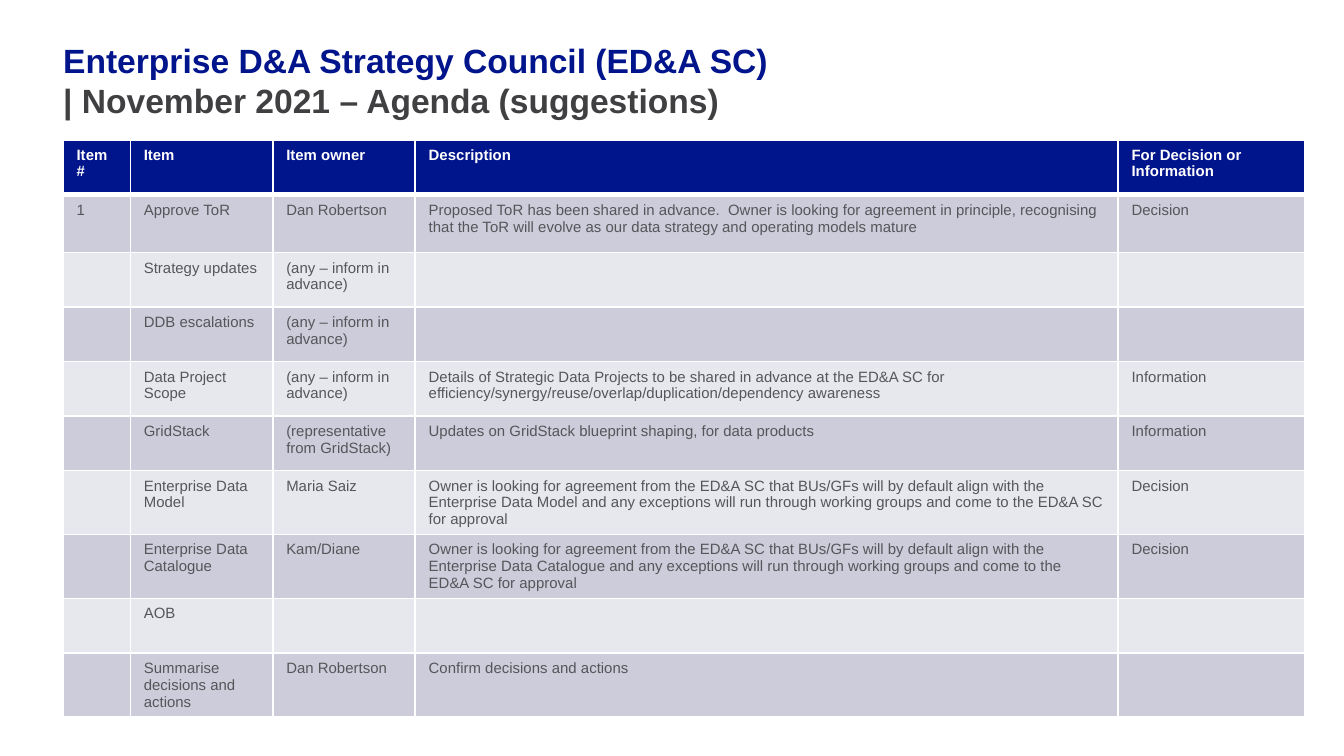
from dataclasses import dataclass

from lxml import etree
from pptx import Presentation
from pptx import util as u
from pptx.dml.color import RGBColor
from pptx.enum import text
from pptx.oxml import ns


@dataclass(frozen=True)
class Theme:
    """Colours, typeface and type sizes of the slide."""
    navy: str = "00148C"
    charcoal: str = "404042"
    grey: str = "55555A"
    white: str = "FFFFFF"
    bands: tuple = ("CCCCDA", "E7E7EE")
    font: str = "Arial"
    title_size: float = 18
    title_leading: float = 21.5
    table_size: float = 8
    rule: float = 1
    heavy_rule: float = 3


THEME = Theme()
SLIDE_WIDTH = 10
SLIDE_HEIGHT = SLIDE_WIDTH * 9 / 16
TITLE_LINES = (
    ("Enterprise D&A Strategy Council (ED&A SC)", THEME.navy),
    ("| November 2021 – Agenda (suggestions)", THEME.charcoal),
)
COLUMN_WIDTHS = (0.5, 1.06, 1.06, 5.23, 1.39)
HEADER_HEIGHT, FIRST_HEIGHT, ROW_HEIGHT = 0.41, 0.43, 0.81 / 2
ANY_OWNER = "(any – inform in advance)"
ALIGNMENT = (
    "Owner is looking for agreement from the ED&A SC that BUs/GFs will by default "
    "align with the Enterprise Data {} and any exceptions will run through working "
    "groups and come to the ED&A SC for approval"
)
AGENDA = (
    ("Item #", "Item", "Item owner", "Description", "For Decision or Information"),
    ("1", "Approve ToR", "Dan Robertson",
     "Proposed ToR has been shared in advance.  Owner is looking for agreement in "
     "principle, recognising that the ToR will evolve as our data strategy and "
     "operating models mature", "Decision"),
    ("", "Strategy updates", ANY_OWNER, "", ""),
    ("", "DDB escalations", ANY_OWNER, "", ""),
    ("", "Data Project Scope", ANY_OWNER,
     "Details of Strategic Data Projects to be shared in advance at the ED&A SC for "
     "efficiency/synergy/reuse/overlap/duplication/dependency awareness",
     "Information"),
    ("", "GridStack", "(representative from GridStack)",
     "Updates on GridStack blueprint shaping, for data products", "Information"),
    ("", "Enterprise Data Model", "Maria Saiz", ALIGNMENT.format("Model"), "Decision"),
    ("", "Enterprise Data Catalogue", "Kam/Diane", ALIGNMENT.format("Catalogue"),
     "Decision"),
    ("", "AOB", "", "", ""),
    ("", "Summarise decisions and actions", "Dan Robertson",
     "Confirm decisions and actions", ""),
)


def apply_format(target, values):
    """Set every attribute named in a dict of format values."""
    for name, value in values.items():
        setattr(target, name, value)


def add_run(paragraph, words, size, color, bold):
    """Add one formatted run to a paragraph."""
    run = paragraph.add_run()
    run.text = words
    apply_format(run.font, {"name": THEME.font, "size": u.Pt(size), "bold": bold})
    run.font.color.rgb = RGBColor.from_string(color)


def set_borders(cell, widths):
    """Draw white cell borders from a dict of side and width in points."""
    properties = cell._tc.get_or_add_tcPr()
    for index, (side, width) in enumerate(widths.items()):
        line = etree.Element(ns.qn(f"a:ln{side}"), w=str(u.Pt(width)))
        fill = etree.SubElement(line, ns.qn("a:solidFill"))
        etree.SubElement(fill, ns.qn("a:srgbClr"), val=THEME.white)
        properties.insert(index, line)


def format_title(slide, left, top, width, height):
    """Place the title and write its two coloured lines."""
    title = slide.shapes.title
    box = {"left": left, "top": top, "width": width, "height": height}
    apply_format(title, {name: u.Inches(value) for name, value in box.items()})
    frame = title.text_frame
    apply_format(frame, {
        "margin_left": 0, "margin_top": 0, "margin_right": 0, "margin_bottom": 0,
        "word_wrap": True, "auto_size": text.MSO_AUTO_SIZE.NONE,
        "vertical_anchor": text.MSO_ANCHOR.TOP,
    })
    paragraph = frame.paragraphs[0]
    apply_format(paragraph, {
        "alignment": text.PP_ALIGN.LEFT, "space_before": u.Pt(0),
        "line_spacing": u.Pt(THEME.title_leading),
    })
    for index, (words, color) in enumerate(TITLE_LINES):
        if index:
            paragraph.add_line_break()
        add_run(paragraph, words, THEME.title_size, color, True)


def format_cell(cell, words, row):
    """Fill, border and write one agenda cell."""
    header = row == 0
    cell.fill.solid()
    fill = THEME.navy if header else THEME.bands[(row - 1) % 2]
    cell.fill.fore_color.rgb = RGBColor.from_string(fill)
    set_borders(cell, {
        "L": THEME.rule, "R": THEME.rule,
        "T": THEME.heavy_rule if row == 1 else THEME.rule,
        "B": THEME.heavy_rule if header else THEME.rule,
    })
    if words:
        color = THEME.white if header else THEME.grey
        add_run(cell.text_frame.paragraphs[0], words, THEME.table_size, color, header)


def add_agenda(slide, left, top, width, height):
    """Add the agenda table, sharing the width between its columns."""
    box = map(u.Inches, (left, top, width, height))
    shape = slide.shapes.add_table(len(AGENDA), len(COLUMN_WIDTHS), *box)
    table = shape.table
    scale = width / sum(COLUMN_WIDTHS)
    for column, share in zip(table.columns, COLUMN_WIDTHS):
        column.width = u.Inches(share * scale)
    heights = {0: HEADER_HEIGHT, 1: FIRST_HEIGHT}
    for index, entries in enumerate(AGENDA):
        table.rows[index].height = u.Inches(heights.get(index, ROW_HEIGHT))
        for cell, words in zip(table.rows[index].cells, entries):
            format_cell(cell, words, index)
    shape.height = u.Inches(height)


def main():
    """Build and save the agenda slide."""
    presentation = Presentation()
    apply_format(presentation, {
        "slide_width": u.Inches(SLIDE_WIDTH), "slide_height": u.Inches(SLIDE_HEIGHT),
    })
    slide = presentation.slides.add_slide(presentation.slide_layouts[5])
    format_title(slide, 0.47, 0.3, 9.06, 0.9)
    add_agenda(slide, 0.47, 1.04, 9.24, 4.36)
    presentation.save("out.pptx")


if __name__ == "__main__":
    main()
